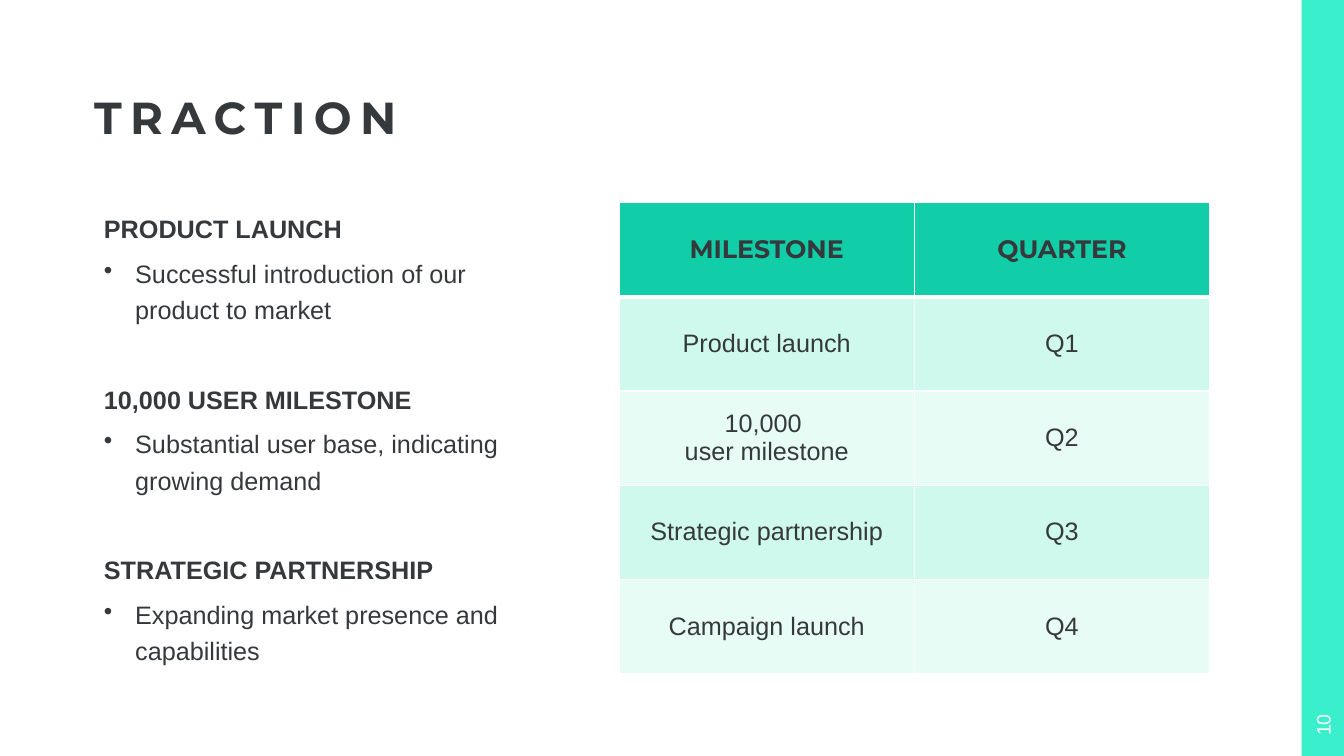
"""Build the Traction slide: three achievements beside a table of quarterly milestones."""
from dataclasses import dataclass
from typing import Optional

from lxml import etree
from pptx import Presentation
from pptx import util as u
from pptx.dml.color import RGBColor
from pptx.enum import shapes, text
from pptx.oxml import ns

WIDTH, HEIGHT = u.Inches(13.33), u.Inches(7.5)


@dataclass(frozen=True)
class Theme:
    ink: str = "36393B"
    white: str = "FFFFFF"
    bar: str = "3AEFCC"
    header: str = "11CEA9"
    bands: tuple[str, str] = ("CEF9EC", "E8FCF6")
    heading_font: str = "Montserrat"
    body_font: str = "Arial"
    title_size: int = 32
    body_size: int = 18
    number_size: int = 14


@dataclass(frozen=True)
class Area:
    """A rectangle in percent of the slide's width and height."""
    left: float
    top: float
    width: float
    height: float

    def lengths(self) -> tuple[int, int, int, int]:
        return (int(WIDTH * self.left / 100), int(HEIGHT * self.top / 100),
                int(WIDTH * self.width / 100), int(HEIGHT * self.height / 100))


@dataclass(frozen=True)
class Achievement:
    heading: str
    detail: str


@dataclass(frozen=True)
class Milestone:
    name: str
    quarter: str


THEME = Theme()
BAR = Area(96.85, 0, 3.15, 100)
TITLE = Area(7, 0, 83, 19.07)
BODY = Area(7, 26.8, 32.3, 62.3)
TABLE = Area(46.06, 26.8, 43.94, 62.3)
NUMBER = Area(96.1, 93.1, 4.65, 5.6)

ACHIEVEMENTS = [
    Achievement("PRODUCT LAUNCH", "Successful introduction of our product to market"),
    Achievement("10,000 USER MILESTONE", "Substantial user base, indicating growing demand"),
    Achievement("STRATEGIC PARTNERSHIP", "Expanding market presence and capabilities"),
]
HEADER = Milestone("MILESTONE", "QUARTER")
MILESTONES = [
    Milestone("Product launch", "Q1"),
    Milestone("10,000 \vuser milestone", "Q2"),
    Milestone("Strategic partnership", "Q3"),
    Milestone("Campaign launch", "Q4"),
]


def write(para, words: str, *, size: int = THEME.body_size, font: str = THEME.body_font,
          color: str = THEME.ink, bold: bool = False, centred: bool = False,
          tracking: float = 0, spacing: Optional[float] = None,
          before: float = 0, after: float = 0, bullet: bool = False) -> None:
    """Fill a paragraph with text in the given format."""
    para.text = words
    para.alignment = text.PP_ALIGN.CENTER if centred else text.PP_ALIGN.LEFT
    para.line_spacing = spacing
    para.space_before, para.space_after = u.Pt(before), u.Pt(after)
    if bullet:
        indent = u.Inches(0.31)
        properties = para._p.get_or_add_pPr()
        properties.set("marL", str(indent))
        properties.set("indent", str(-indent))
        etree.SubElement(properties, ns.qn("a:buChar")).set("char", "•")
    for span in para.runs:
        span.font.size, span.font.name, span.font.bold = u.Pt(size), font, bold
        span.font.color.rgb = RGBColor.from_string(color)
        if tracking:
            span._r.get_or_add_rPr().set("spc", str(int(tracking * 100)))


def add_box(page, area: Area, anchor: text.MSO_ANCHOR):
    """Add a wrapping text box and return it."""
    box = page.shapes.add_textbox(*area.lengths())
    box.text_frame.word_wrap = True
    box.text_frame.vertical_anchor = anchor
    return box


def add_bar(page) -> None:
    """Draw the band along the right edge."""
    bar = page.shapes.add_shape(shapes.MSO_SHAPE.RECTANGLE, *BAR.lengths())
    bar.shadow.inherit = False
    bar.fill.solid()
    bar.fill.fore_color.rgb = RGBColor.from_string(THEME.bar)
    bar.line.fill.background()


def add_title(page) -> None:
    """Add the slide's heading."""
    frame = add_box(page, TITLE, text.MSO_ANCHOR.BOTTOM).text_frame
    frame.margin_left = frame.margin_top = frame.margin_right = frame.margin_bottom = 0
    write(frame.paragraphs[0], "TRACTION", size=THEME.title_size, font=THEME.heading_font,
          bold=True, tracking=6, spacing=0.9)


def add_achievements(page) -> None:
    """List each achievement as a heading with one bullet."""
    frame = add_box(page, BODY, text.MSO_ANCHOR.TOP).text_frame
    for index, item in enumerate(ACHIEVEMENTS):
        para = frame.add_paragraph() if index else frame.paragraphs[0]
        write(para, item.heading, bold=True, spacing=1.2, before=32 if index else 0, after=6)
        write(frame.add_paragraph(), item.detail, spacing=1.2, after=6, bullet=True)


def set_border(cell, side: str, points: float) -> None:
    """Give one side of a cell a solid white line."""
    line = etree.SubElement(cell._tc.get_or_add_tcPr(), ns.qn(f"a:ln{side}"))
    line.set("w", str(u.Pt(points)))
    fill = etree.SubElement(line, ns.qn("a:solidFill"))
    etree.SubElement(fill, ns.qn("a:srgbClr")).set("val", THEME.white)


def add_milestones(page) -> None:
    """Add the table of milestones and quarters."""
    rows = [HEADER, *MILESTONES]
    table = page.shapes.add_table(len(rows), 2, *TABLE.lengths()).table
    table.first_row = table.horz_banding = False
    for row, item in enumerate(rows):
        is_header = row == 0
        color = THEME.header if is_header else THEME.bands[(row - 1) % 2]
        font = THEME.heading_font if is_header else THEME.body_font
        borders = {"L": 1, "R": 1, "T": 3 if row == 1 else 1, "B": 3 if is_header else 1}
        for column, words in enumerate((item.name, item.quarter)):
            cell = table.cell(row, column)
            cell.vertical_anchor = text.MSO_ANCHOR.MIDDLE
            for side, points in borders.items():
                set_border(cell, side, points)
            cell.fill.solid()
            cell.fill.fore_color.rgb = RGBColor.from_string(color)
            write(cell.text_frame.paragraphs[0], words, font=font, bold=is_header, centred=True)


def add_number(page) -> None:
    """Add the page number, turned to read upwards."""
    box = add_box(page, NUMBER, text.MSO_ANCHOR.MIDDLE)
    box.rotation = 270
    write(box.text_frame.paragraphs[0], "10", size=THEME.number_size,
          color=THEME.white, centred=True)


def main() -> None:
    """Assemble and save the deck."""
    deck = Presentation()
    deck.slide_width, deck.slide_height = WIDTH, HEIGHT
    page = deck.slides.add_slide(deck.slide_layouts[6])
    add_bar(page)
    add_title(page)
    add_achievements(page)
    add_milestones(page)
    add_number(page)
    deck.save("out.pptx")


if __name__ == "__main__":
    main()
